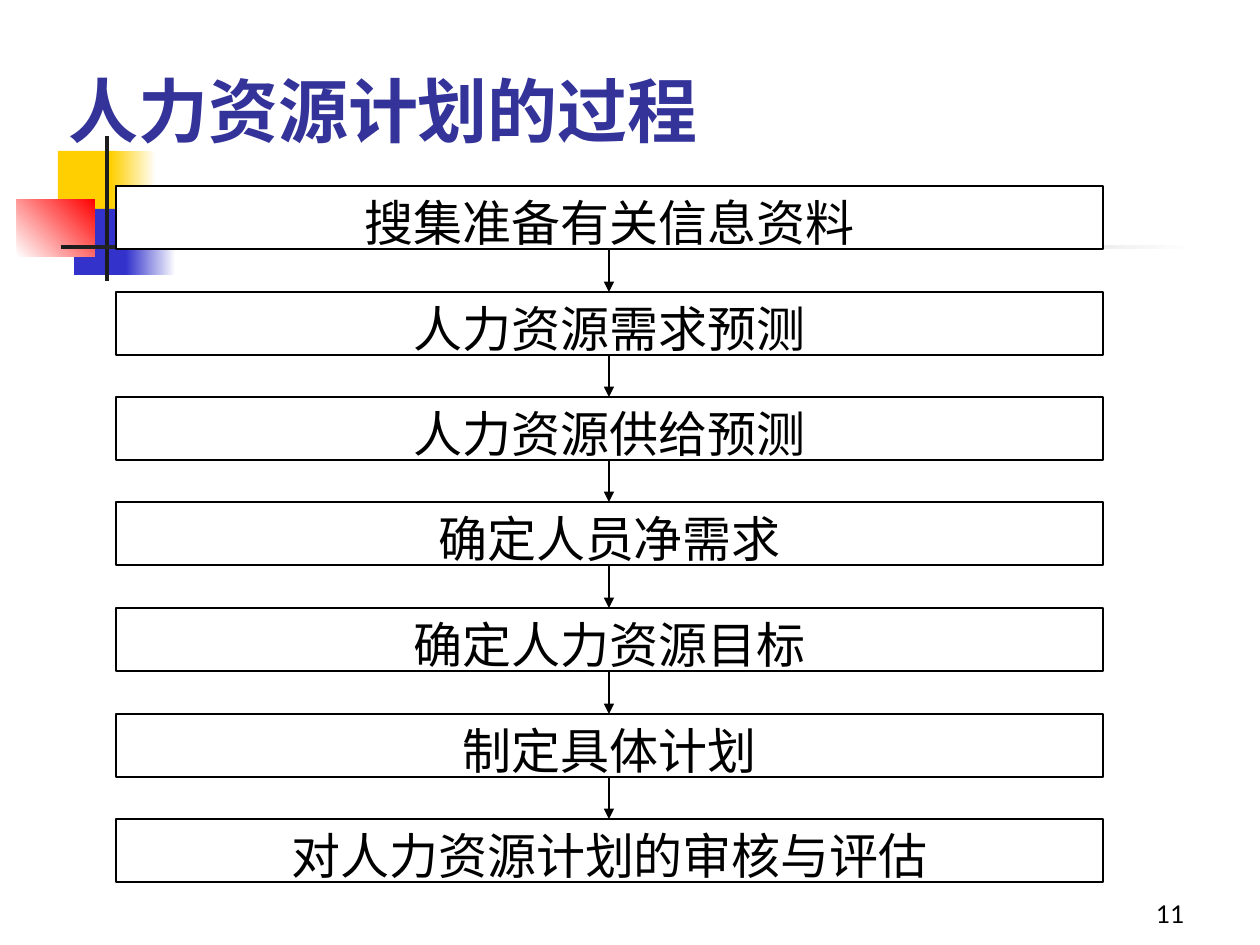
from typing import NamedTuple, Optional

from lxml.etree import SubElement
from pptx import Presentation
from pptx.dml.color import RGBColor
from pptx.enum.shapes import MSO_CONNECTOR as CONN, MSO_SHAPE as SHAPE
from pptx.enum.text import MSO_ANCHOR as ANCHOR, PP_ALIGN as ALIGN
from pptx.oxml.ns import qn
from pptx.util import Pt

EMU_PER_PX = 914400 / 126
BLACK, WHITE = "000000", "FFFFFF"


class Ornament(NamedTuple):
    left: int
    top: int
    width: int
    height: int
    color: str
    fade_to: Optional[str] = None
    angle: int = 0


ORNAMENTS = [
    Ornament(58, 151, 60, 66, "FFCF01"),
    Ornament(111, 151, 45, 66, "FFCF01", WHITE),
    Ornament(74, 209, 58, 66, "3333CC"),
    Ornament(126, 209, 50, 66, "3333CC", WHITE),
    Ornament(17, 199, 78, 58, WHITE, "FF0000", 45),
    Ornament(105, 136, 4, 145, "1C1C1C"),
    Ornament(61, 245, 1134, 4, "1C1C1C", WHITE),
]

STEPS = [
    "搜集准备有关信息资料",
    "人力资源需求预测",
    "人力资源供给预测",
    "确定人员净需求",
    "确定人力资源目标",
    "制定具体计划",
    "对人力资源计划的审核与评估",
]
STEP_LEFT, STEP_WIDTH, STEP_HEIGHT = 116, 987, 63
FIRST_TOP, LAST_TOP = 186, 819


def px(n: float) -> int:
    return round(n * EMU_PER_PX)


def rgb(color: str) -> RGBColor:
    return RGBColor.from_string(color)


def write(sp, text: str, *, size: int, font: str, color: str = BLACK,
          bold: bool = False, align=ALIGN.LEFT, anchor=ANCHOR.TOP) -> None:
    tf = sp.text_frame
    tf.word_wrap = True
    tf.vertical_anchor = anchor
    p = tf.paragraphs[0]
    p.alignment = align
    r = p.add_run()
    r.text = text
    r.font.size = Pt(size)
    r.font.name = font
    r.font.bold = bold
    r.font.color.rgb = rgb(color)


def add_rect(s, left: int, top: int, width: int, height: int):
    sp = s.shapes.add_shape(SHAPE.RECTANGLE, px(left), px(top), px(width), px(height))
    sp.shadow.inherit = False
    return sp


def add_ornament(s, o: Ornament) -> None:
    sp = add_rect(s, o.left, o.top, o.width, o.height)
    sp.line.fill.background()
    if o.fade_to is None:
        sp.fill.solid()
        sp.fill.fore_color.rgb = rgb(o.color)
        return
    sp.fill.gradient()
    sp.fill.gradient_angle = o.angle
    for stop, color, position in zip(sp.fill.gradient_stops, (o.color, o.fade_to), (0, 1)):
        stop.color.rgb = rgb(color)
        stop.position = position


def add_step(s, text: str, top: int) -> None:
    sp = add_rect(s, STEP_LEFT, top, STEP_WIDTH, STEP_HEIGHT)
    sp.fill.solid()
    sp.fill.fore_color.rgb = rgb(WHITE)
    sp.line.color.rgb = rgb(BLACK)
    sp.line.width = Pt(0.75)
    write(sp, text, size=28, font="Times New Roman", align=ALIGN.CENTER)


def add_down_arrow(s, x: int, top: int, bottom: int) -> None:
    c = s.shapes.add_connector(CONN.STRAIGHT, px(x), px(top), px(x), px(bottom))
    c.line.color.rgb = rgb(BLACK)
    c.line.width = Pt(0.75)
    SubElement(c.line._get_or_add_ln(), qn("a:tailEnd"), type="triangle")
    SubElement(c._element.spPr, qn("a:effectLst"))


def add_label(s, text: str, left: int, top: int, width: int, height: int, **fmt) -> None:
    sp = s.shapes.add_textbox(px(left), px(top), px(width), px(height))
    write(sp, text, anchor=ANCHOR.BOTTOM, **fmt)


def main() -> None:
    prs = Presentation()
    prs.slide_width, prs.slide_height = px(1260), px(945)
    s = prs.slides.add_slide(prs.slide_layouts[6])

    for o in ORNAMENTS:
        add_ornament(s, o)
    add_label(s, "11", 935, 872, 262, 63, size=14, font="Lato", align=ALIGN.RIGHT)

    pitch = (LAST_TOP - FIRST_TOP) / (len(STEPS) - 1)
    tops = [round(FIRST_TOP + i * pitch) for i in range(len(STEPS))]
    for text, top in zip(STEPS, tops):
        add_step(s, text, top)
    for top, next_top in zip(tops, tops[1:]):
        add_down_arrow(s, STEP_LEFT + STEP_WIDTH // 2, top + STEP_HEIGHT, next_top)

    add_label(s, "人力资源计划的过程", 56, 32, 1071, 126,
              size=40, font="Montserrat", color="333399", bold=True)
    prs.save("out.pptx")


if __name__ == "__main__":
    main()
